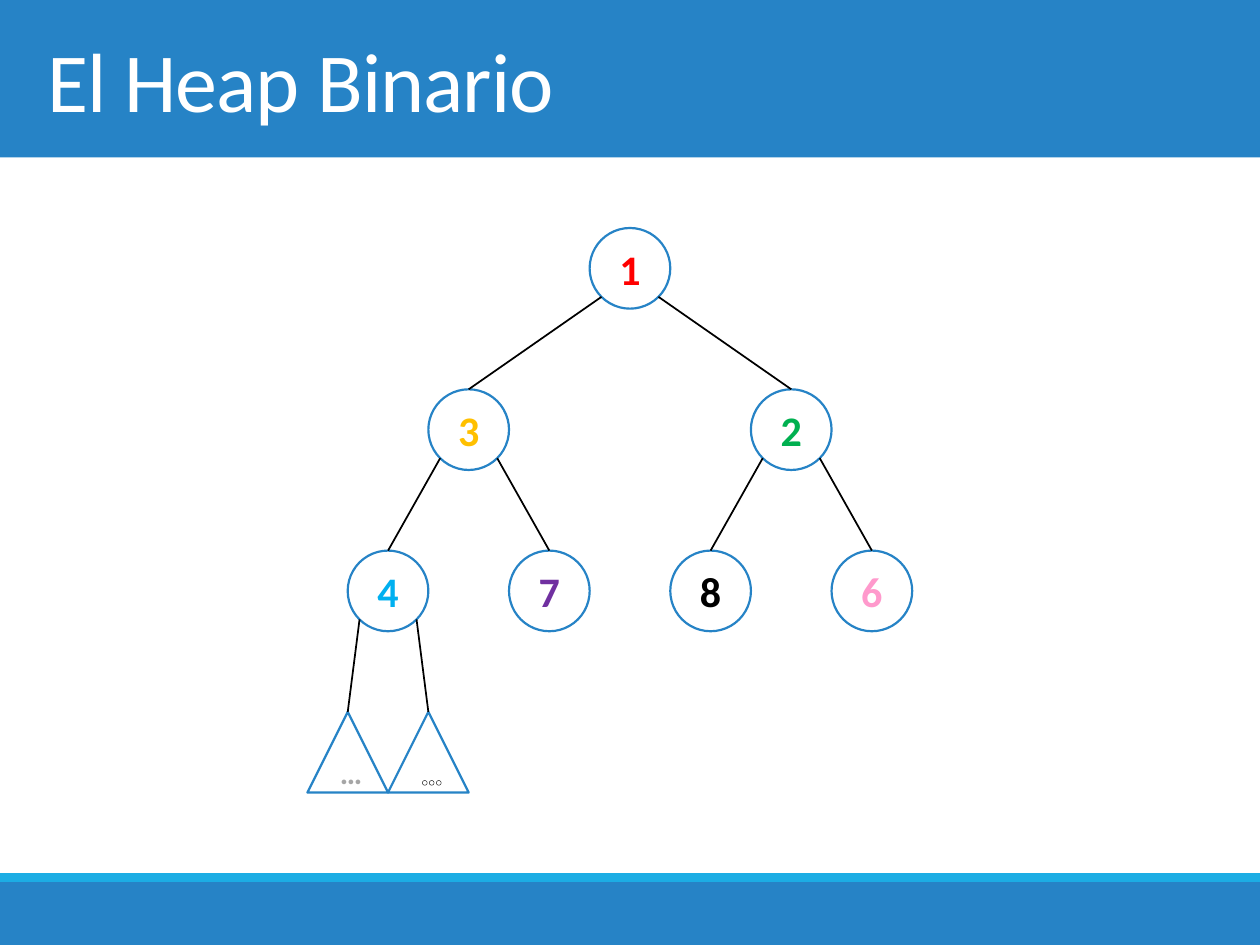
from math import sqrt

from lxml import etree
from pptx import Presentation
from pptx.dml.color import RGBColor
from pptx.enum.shapes import MSO_CONNECTOR as Connector, MSO_SHAPE as Shape
from pptx.enum.text import MSO_ANCHOR as Anchor, PP_ALIGN as Align
from pptx.oxml.ns import qn
from pptx.util import Inches, Pt

BLUE, CYAN, WHITE, BLACK = "2683C6", "1CADE4", "FFFFFF", "000000"
NODE_SIZE = 0.64
LEVEL_GAP = 1.28
ROOT_X, ROOT_Y = 5, 2.13

HEAP = [
    ("1", "FF0000"),
    ("3", "FFC000"), ("2", "00B050"),
    ("4", "00B0F0"), ("7", "7030A0"), ("8", BLACK), ("6", "FF99CC"),
    ("…", "A6A6A6"), ("…", WHITE),
]


def color(value):
    return RGBColor.from_string(value)


class HeapSlide:
    font = "Calibri"

    def __init__(self, slide):
        self.slide = slide

    def band(self, top, height, fill):
        shape = self.slide.shapes.add_shape(
            Shape.RECTANGLE, 0, Inches(top), Inches(10), Inches(height))
        shape.shadow.inherit = False
        shape.fill.solid()
        shape.fill.fore_color.rgb = color(fill)
        shape.line.fill.background()

    def label(self, frame, text, size, fill, bold=False, align=Align.LEFT):
        frame.word_wrap = True
        frame.vertical_anchor = Anchor.MIDDLE
        paragraph = frame.paragraphs[0]
        paragraph.alignment = align
        run = paragraph.add_run()
        run.text = text
        run.font.name = self.font
        run.font.size = Pt(size)
        run.font.bold = bold
        run.font.color.rgb = color(fill)
        return run

    def title(self, text):
        box = self.slide.shapes.add_textbox(
            Inches(0.28), 0, Inches(9.45), Inches(1.25))
        run = self.label(box.text_frame, text, 48, WHITE)
        run.font._element.set("spc", "-50")

    def node(self, kind, x, y, text, size, fill):
        shape = self.slide.shapes.add_shape(
            kind, Inches(x - NODE_SIZE / 2), Inches(y - NODE_SIZE / 2),
            Inches(NODE_SIZE), Inches(NODE_SIZE))
        shape.shadow.inherit = False
        shape.fill.solid()
        shape.fill.fore_color.rgb = color(WHITE)
        shape.line.color.rgb = color(BLUE)
        shape.line.width = Pt(1.25)
        run = self.label(shape.text_frame, text, size, fill, True, Align.CENTER)
        if fill == WHITE:
            self.outline(run, BLACK)

    def outline(self, run, stroke):
        line = etree.Element(qn("a:ln"), w=str(Pt(0.75)))
        solid = etree.SubElement(line, qn("a:solidFill"))
        etree.SubElement(solid, qn("a:srgbClr"), val=stroke)
        run.font._element.insert(0, line)

    def edge(self, parent, child):
        side = 1 if child[0] > parent[0] else -1
        reach = NODE_SIZE / 2 / sqrt(2)
        connector = self.slide.shapes.add_connector(
            Connector.STRAIGHT,
            Inches(parent[0] + side * reach), Inches(parent[1] + reach),
            Inches(child[0]), Inches(child[1] - NODE_SIZE / 2))
        connector.line.color.rgb = color(BLACK)
        connector.line.width = Pt(1)
        etree.SubElement(connector._element.spPr, qn("a:effectLst"))

    def heap(self, items):
        centers = {}
        for index, (text, fill) in enumerate(items, start=1):
            level = index.bit_length() - 1
            parent = centers.get(index // 2)
            if parent:
                side = 1 if index % 2 else -1
                x = parent[0] + side * LEVEL_GAP / 2 ** (level - 1)
            else:
                x = ROOT_X
            centers[index] = (x, ROOT_Y + level * LEVEL_GAP)
            is_subtree = text == "…"
            kind = Shape.ISOSCELES_TRIANGLE if is_subtree else Shape.OVAL
            self.node(kind, *centers[index], text, 18 if is_subtree else 24, fill)
            if parent:
                self.edge(parent, centers[index])


def main():
    presentation = Presentation()
    presentation.slide_width = Inches(10)
    presentation.slide_height = Inches(7.5)
    page = HeapSlide(presentation.slides.add_slide(presentation.slide_layouts[6]))
    page.band(0, 1.25, BLUE)
    page.band(7, 0.5, BLUE)
    page.band(6.93, 0.07, CYAN)
    page.title("El Heap Binario")
    page.heap(HEAP)
    presentation.save("out.pptx")


if __name__ == "__main__":
    main()
